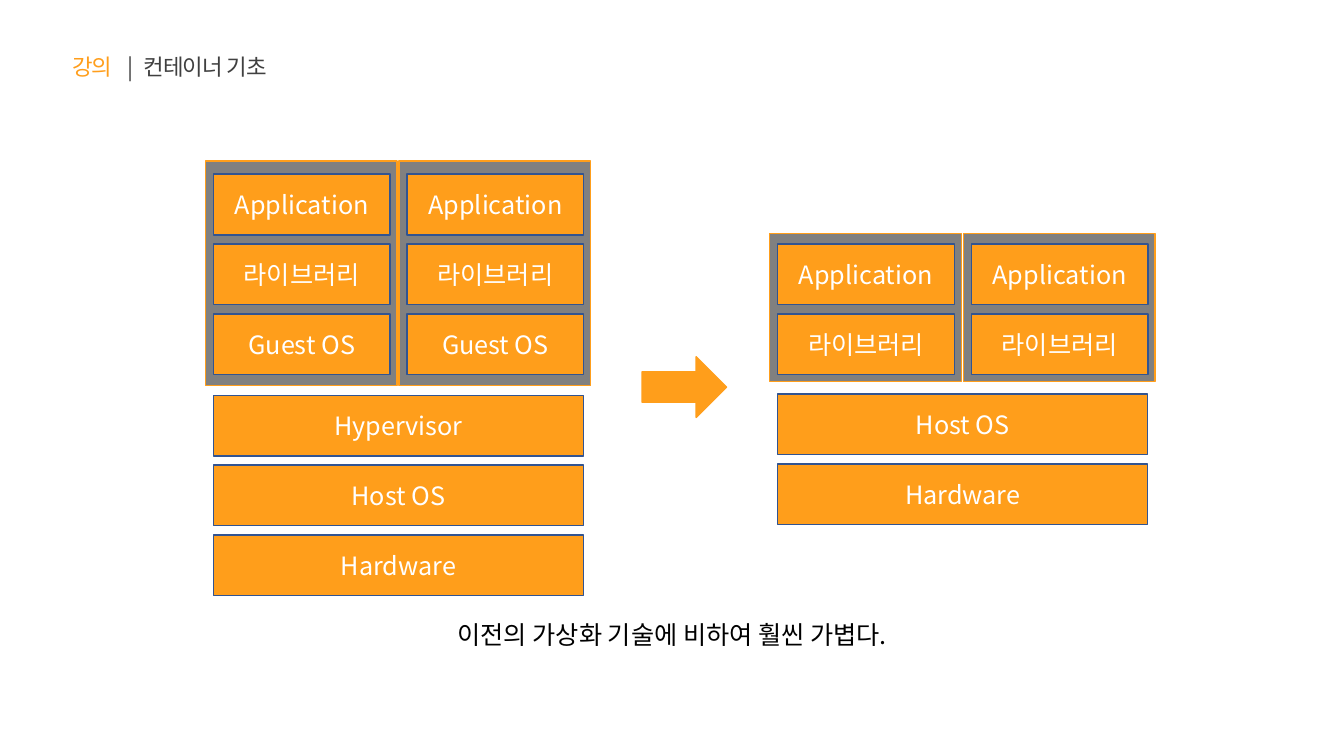
from lxml import etree
from pptx import Presentation
from pptx.dml.color import RGBColor
from pptx.enum.shapes import MSO_SHAPE
from pptx.enum.text import MSO_ANCHOR, MSO_AUTO_SIZE, PP_ALIGN
from pptx.oxml.ns import qn
from pptx.util import Cm, Pt

RECTANGLE, RIGHT_ARROW = MSO_SHAPE.RECTANGLE, MSO_SHAPE.RIGHT_ARROW
MIDDLE, CENTER, FIT_SHAPE = MSO_ANCHOR.MIDDLE, PP_ALIGN.CENTER, MSO_AUTO_SIZE.SHAPE_TO_FIT_TEXT

FONT = "Noto Sans CJK KR"
ORANGE = RGBColor(0xFF, 0x9E, 0x1B)
NAVY = RGBColor(0x32, 0x54, 0x91)
GRAY = RGBColor(0x80, 0x80, 0x80)
DARK = RGBColor(0x40, 0x40, 0x40)
WHITE = RGBColor(0xFF, 0xFF, 0xFF)
BLACK = RGBColor(0x00, 0x00, 0x00)

deck = Presentation()
deck.slide_width, deck.slide_height = Cm(33.87), Cm(19.05)
page = deck.slides.add_slide(deck.slide_layouts[6])


def add_span(para, text, size, color):
    span = para.add_run()
    span.text = text
    span.font.size = Pt(size)
    span.font.name = FONT
    span.font.color.rgb = color
    etree.SubElement(span.font._element, qn("a:ea"), typeface=FONT)
    return span


def add_block(kind, left, top, width, height, fill, line, label=""):
    block = page.shapes.add_shape(kind, Cm(left), Cm(top), Cm(width), Cm(height))
    block.shadow.inherit = False
    block.fill.solid()
    block.fill.fore_color.rgb = fill
    block.line.color.rgb = line
    block.line.width = Pt(1)
    if label:
        block.text_frame.vertical_anchor = MIDDLE
        para = block.text_frame.paragraphs[0]
        para.alignment = CENTER
        add_span(para, label, 18, WHITE)


# Heading, aligned with tab stops
heading = page.shapes.add_textbox(Cm(1.57), Cm(1.22), Cm(13.08), Cm(0.94))
heading.text_frame.word_wrap = True
heading.text_frame.auto_size = FIT_SHAPE
para = heading.text_frame.paragraphs[0]
tab_list = etree.SubElement(para._p.get_or_add_pPr(), qn("a:tabLst"))
for stop in (1.4, 1.8):
    etree.SubElement(tab_list, qn("a:tab"), pos=str(Cm(stop)), algn="l")
for text, color in (("강의\t", ORANGE), ("|\t컨테이너 기초", DARK)):
    span = add_span(para, text, 16, color)
    span.font._element.set("spc", "-60")

# Two stacks: left, panel top, panel height, first box top, base top, labels
BOX_HEIGHT, ROW_PITCH, COLUMN_PITCH, INSET = 1.53, 1.76, 4.88, 0.2
stacks = [
    (5.18, 4.06, 5.66, 4.39, 9.96,
     ["Application", "라이브러리", "Guest OS"], ["Hypervisor", "Host OS", "Hardware"]),
    (19.4, 5.89, 3.73, 6.15, 9.93,
     ["Application", "라이브러리"], ["Host OS", "Hardware"]),
]
for left, panel_top, panel_height, box_top, base_top, layers, bases in stacks:
    # Gray panels with their layers
    for column in range(2):
        x = left + column * COLUMN_PITCH
        add_block(RECTANGLE, x, panel_top, 4.83, panel_height, GRAY, ORANGE)
        for row, label in enumerate(layers):
            add_block(RECTANGLE, x + INSET, box_top + row * ROW_PITCH,
                      4.45, BOX_HEIGHT, ORANGE, NAVY, label)
    # Shared base layers
    for row, label in enumerate(bases):
        add_block(RECTANGLE, left + INSET, base_top + row * ROW_PITCH,
                  9.32, BOX_HEIGHT, ORANGE, NAVY, label)

# Arrow between the stacks
add_block(RIGHT_ARROW, 16.18, 8.99, 2.13, 1.53, ORANGE, ORANGE)

# Conclusion
conclusion = page.shapes.add_textbox(Cm(10.59), Cm(15.47), Cm(12.7), Cm(1.02))
conclusion.text_frame.word_wrap = False
conclusion.text_frame.auto_size = FIT_SHAPE
para = conclusion.text_frame.paragraphs[0]
para.alignment = CENTER
add_span(para, "이전의 가상화 기술에 비하여 훨씬 가볍다.", 18, BLACK)

deck.save("out.pptx")
